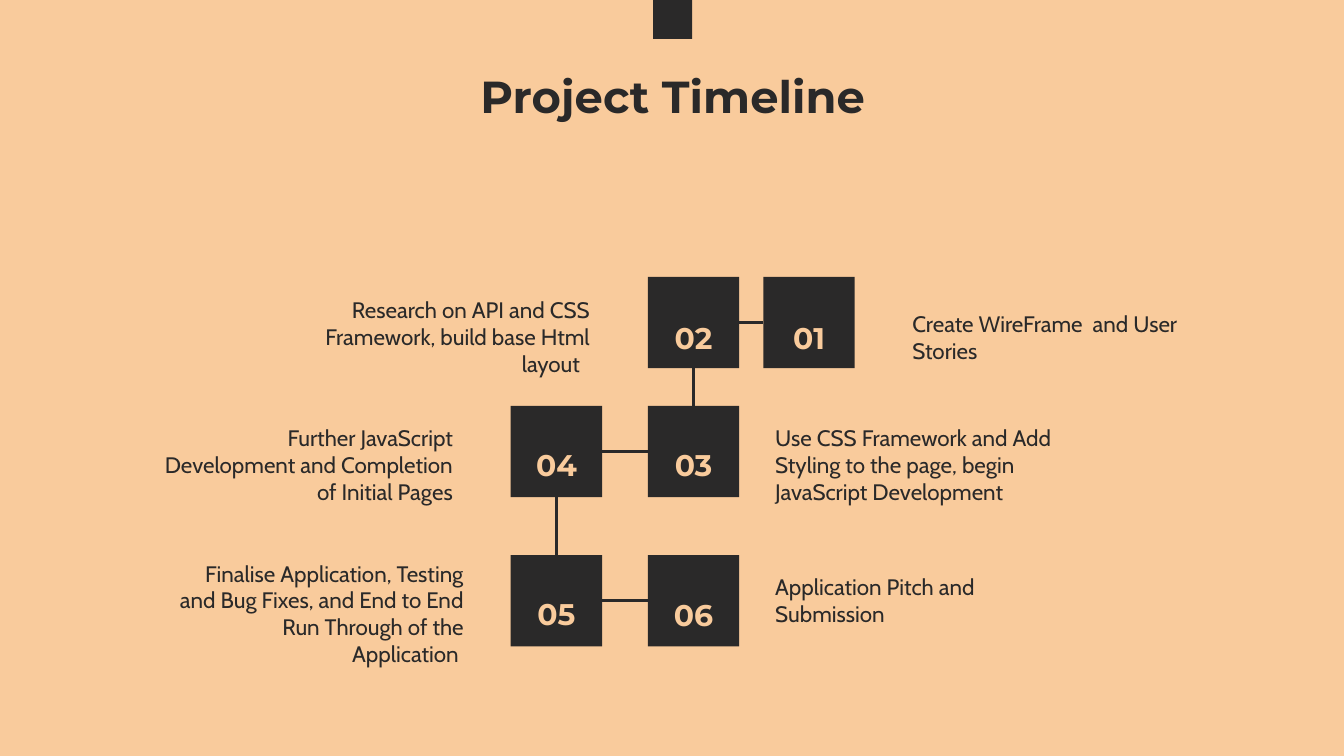
from lxml import etree
from pptx import Presentation
from pptx.dml.color import RGBColor
from pptx.enum.shapes import MSO_CONNECTOR, MSO_SHAPE
from pptx.enum.text import MSO_ANCHOR, MSO_AUTO_SIZE, PP_ALIGN
from pptx.oxml.ns import qn
from pptx.util import Inches, Pt

LEFT, CENTER, RIGHT = PP_ALIGN.LEFT, PP_ALIGN.CENTER, PP_ALIGN.RIGHT
TOP, MIDDLE = MSO_ANCHOR.TOP, MSO_ANCHOR.MIDDLE
NO_AUTOFIT = MSO_AUTO_SIZE.NONE
RECTANGLE = MSO_SHAPE.RECTANGLE
STRAIGHT = MSO_CONNECTOR.STRAIGHT

COLORS = {"ink": "2A2929", "sand": "F9CB9C"}
HEADING, BODY = "Montserrat", "Cabin"

# The grid has 100 columns across and 56.25 rows down, each a tenth of an inch.
COLUMNS, ROWS = 100, 56.25
UNIT = Inches(0.1)
BOX = 6.8
NUMBER_WIDTH, CAPTION_WIDTH, TEXT_HEIGHT = 5.2, 23.6, 5.7

# Number, box column, box row, number row, caption column, caption row,
# alignment, caption
STEPS = [
    ("01", 56.8, 20.6, 21.3, 66.9, 21.2, LEFT,
     "Create WireFrame  and User Stories"),
    ("02", 48.2, 20.6, 21.3, 21.3, 21.2, RIGHT,
     "Research on API and CSS Framework, build base Html layout  "),
    ("03", 48.2, 30.2, 30.7, 56.7, 30.7, LEFT,
     "Use CSS Framework and Add Styling to the page, begin JavaScript Development"),
    ("04", 38, 30.2, 30.7, 11.1, 30.7, RIGHT,
     "Further JavaScript Development and Completion of Initial Pages"),
    ("05", 38, 41.3, 41.8, 11.9, 41.8, RIGHT,
     "Finalise Application, Testing and Bug Fixes, and End to End "
     "Run Through of the Application "),
    ("06", 48.2, 41.3, 41.9, 56.7, 40.8, LEFT,
     "Application Pitch and Submission"),
]


def grid(*lengths):
    return [round(length * UNIT) for length in lengths]


def rgb(name):
    return RGBColor.from_string(COLORS[name])


def write(frame, text, *, font, size, color="ink", bold=False, align=LEFT,
          anchor=MIDDLE, top=1, bottom=1, after=0):
    """Fill a text frame; top and bottom are its insets in grid rows."""
    frame.word_wrap = True
    frame.auto_size = NO_AUTOFIT
    frame.vertical_anchor = anchor
    frame.margin_left = frame.margin_right = UNIT
    frame.margin_top, frame.margin_bottom = grid(top, bottom)
    paragraph = frame.paragraphs[0]
    paragraph.alignment = align
    paragraph.space_after = Pt(after)
    run = paragraph.add_run()
    run.text = text
    run.font.name, run.font.size, run.font.bold = font, Pt(size), bold
    run.font.color.rgb = rgb(color)


class TimelineSlide:
    def __init__(self, presentation):
        title_only = presentation.slide_layouts[5]
        self.slide = presentation.slides.add_slide(title_only)
        background = self.slide.background.fill
        background.solid()
        background.fore_color.rgb = rgb("sand")

    def title(self, text, left, top, width, height):
        heading = self.slide.shapes.title
        (heading.left, heading.top,
         heading.width, heading.height) = grid(left, top, width, height)
        write(heading.text_frame, text, font=HEADING, size=24, bold=True,
              align=CENTER, anchor=TOP)

    def square(self, left, top, side):
        block = self.slide.shapes.add_shape(
            RECTANGLE, *grid(left, top, side, side))
        block.shadow.inherit = False
        block.fill.solid()
        block.fill.fore_color.rgb = rgb("ink")
        block.line.fill.background()

    def label(self, text, left, top, width, **style):
        box = self.slide.shapes.add_textbox(
            *grid(left, top, width, TEXT_HEIGHT))
        write(box.text_frame, text, top=2, bottom=0, after=16, **style)

    def link(self, start, end):
        """Join the facing edges of two boxes in one row or one column."""
        (x1, y1), (x2, y2) = start, end
        half = BOX / 2
        if y1 == y2:
            ends = min(x1, x2) + BOX, y1 + half, max(x1, x2), y1 + half
        else:
            ends = x1 + half, min(y1, y2) + BOX, x1 + half, max(y1, y2)
        connector = self.slide.shapes.add_connector(STRAIGHT, *grid(*ends))
        connector.line.color.rgb = rgb("ink")
        connector.line.width = Pt(1.5)
        properties = connector._element.spPr
        etree.SubElement(properties, qn("a:effectLst"))

    def step(self, number, left, top, number_top, caption_left, caption_top,
             align, caption):
        self.square(left, top, BOX)
        self.label(number, left + (BOX - NUMBER_WIDTH) / 2, number_top,
                   NUMBER_WIDTH, font=HEADING, size=16, color="sand",
                   bold=True, align=CENTER)
        self.label(caption, caption_left, caption_top, CAPTION_WIDTH,
                   font=BODY, size=12, align=align)


def main():
    presentation = Presentation()
    presentation.slide_width, presentation.slide_height = grid(COLUMNS, ROWS)
    timeline = TimelineSlide(presentation)
    timeline.title("Project Timeline", 28.1, 4.1, 43.9, 6.3)
    timeline.square(48.6, 0, 2.9)
    for step in STEPS:
        timeline.step(*step)
    for current, following in zip(STEPS, STEPS[1:]):
        timeline.link(current[1:3], following[1:3])
    presentation.save("out.pptx")


if __name__ == "__main__":
    main()
